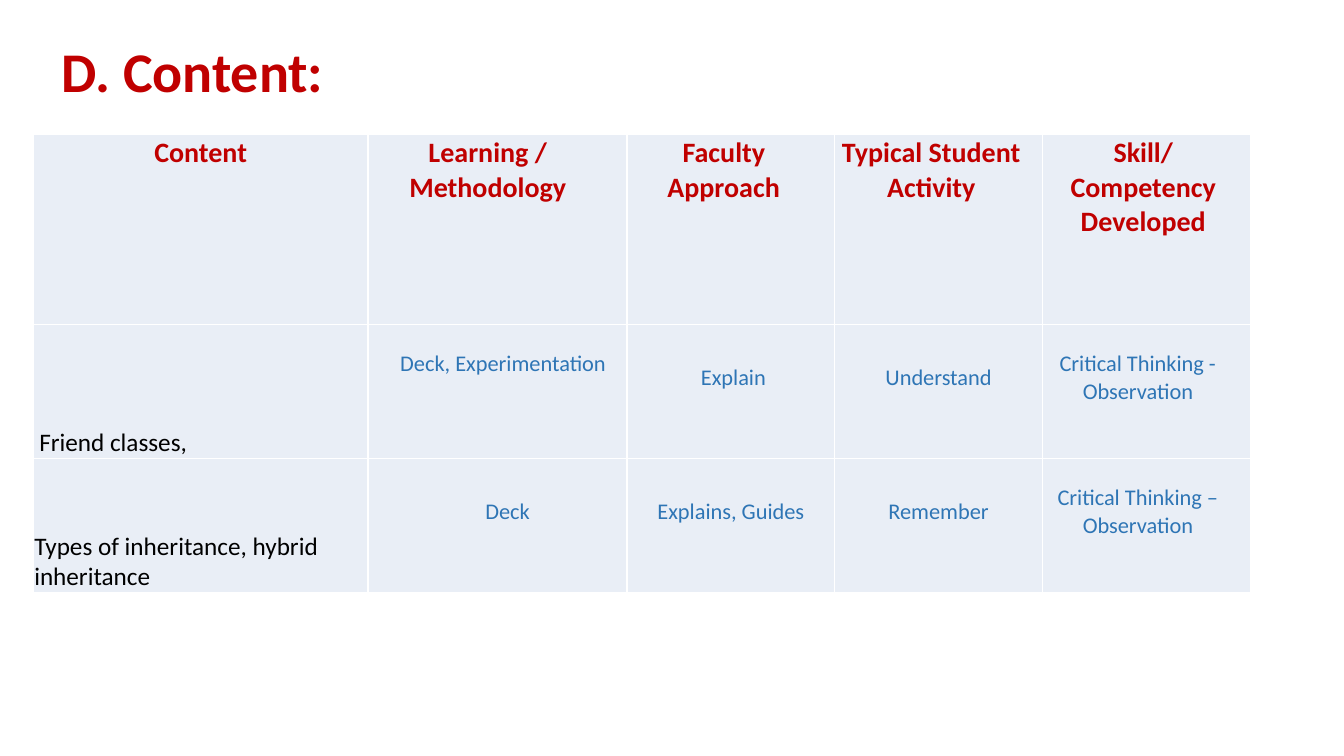
from dataclasses import dataclass

from lxml import etree
from pptx import Presentation
from pptx.dml.color import RGBColor
from pptx.enum.text import MSO_ANCHOR, PP_ALIGN
from pptx.oxml.ns import qn
from pptx.util import Inches, Pt

LEFT, CENTER = PP_ALIGN.LEFT, PP_ALIGN.CENTER
TOP, MIDDLE, BOTTOM = MSO_ANCHOR.TOP, MSO_ANCHOR.MIDDLE, MSO_ANCHOR.BOTTOM

RED = RGBColor(0xC0, 0x00, 0x00)
BLUE = RGBColor(0x2E, 0x75, 0xB5)
BLACK = RGBColor(0x00, 0x00, 0x00)
PALE = RGBColor(0xE9, 0xEE, 0xF6)
FONT = "Calibri"

COLUMN_WIDTHS = (3.32, 2.57, 2.06, 2.06, 2.06)
ROW_HEIGHTS = (1.89, 1.33, 1.33)
HIGH, LOW = 0.25, 0.39  # top margins of the body cells


@dataclass
class Entry:
    """Text of one cell; lengths are in inches."""
    text: str
    size: int = 16
    color: RGBColor = BLUE
    bold: bool = False
    align: int = CENTER
    anchor: int = TOP
    top: float = LOW
    left: float = 0
    right: float = 0
    first_line: float = 0
    spacing: float = 1.0


def heading(text, **layout):
    return Entry(text, 20, RED, True, top=0.02, **layout)


def topic(text, left):
    return Entry(text, 18, BLACK, align=LEFT, anchor=BOTTOM, top=0.01,
                 left=left, right=0.01)


def skill(text, first_line):
    return Entry(text, align=LEFT, top=HIGH, left=0.4,
                 first_line=first_line, spacing=1.02)


ROWS = (
    (
        heading("Content"),
        heading("Learning / Methodology", align=LEFT, left=0.41, first_line=0.19),
        heading("Faculty Approach", align=LEFT, left=0.4, first_line=0.15),
        heading("Typical Student Activity", align=LEFT, left=0.52, first_line=-0.45),
        heading("Skill/ Competency Developed", left=0.23, right=0.29),
    ),
    (
        topic("Friend classes,", 0.06),
        Entry("Deck, Experimentation", align=LEFT, top=HIGH, left=0.32),
        Entry("Explain", left=0.05),
        Entry("Understand"),
        skill("Critical Thinking - Observation", -0.23),
    ),
    (
        topic("Types of inheritance, hybrid inheritance", 0.01),
        Entry("Deck", left=0.2),
        Entry("Explains, Guides"),
        Entry("Remember"),
        skill("Critical Thinking – Observation", -0.25),
    ),
)


def format_text(para, size, color, bold):
    for span in para.runs:
        span.font.name = FONT
        span.font.size = Pt(size)
        span.font.bold = bold
        span.font.color.rgb = color


def set_indent(para, left, first_line):
    properties = para._p.get_or_add_pPr()
    properties.set("marL", str(Inches(left)))
    properties.set("indent", str(Inches(first_line)))


def add_white_borders(cell):
    properties = cell._tc.get_or_add_tcPr()
    for side in ("a:lnL", "a:lnR", "a:lnT", "a:lnB"):
        line = etree.SubElement(properties, qn(side), w=str(Pt(1)))
        fill = etree.SubElement(line, qn("a:solidFill"))
        etree.SubElement(fill, qn("a:srgbClr"), val="FFFFFF")


def fill_cell(cell, entry):
    add_white_borders(cell)
    cell.fill.solid()
    cell.fill.fore_color.rgb = PALE
    cell.margin_left = cell.margin_bottom = 0
    cell.margin_top = Inches(entry.top)
    cell.margin_right = Inches(entry.right)
    cell.vertical_anchor = entry.anchor
    cell.text_frame.text = entry.text
    para = cell.text_frame.paragraphs[0]
    para.alignment = entry.align
    para.line_spacing = entry.spacing
    set_indent(para, entry.left, entry.first_line)
    format_text(para, entry.size, entry.color, entry.bold)


def add_title(page, text):
    box = page.shapes.add_textbox(Inches(0.6), Inches(0.35), Inches(2.66), Inches(0.69))
    frame = box.text_frame
    frame.margin_left = frame.margin_right = frame.margin_bottom = 0
    frame.margin_top = Inches(0.01)
    frame.vertical_anchor = MIDDLE
    frame.word_wrap = True
    frame.text = text
    set_indent(frame.paragraphs[0], 0.01, 0)
    format_text(frame.paragraphs[0], 40, RED, True)


def add_content_table(page):
    table = page.shapes.add_table(
        len(ROWS), len(COLUMN_WIDTHS), Inches(0.33), Inches(1.33),
        Inches(sum(COLUMN_WIDTHS)), Inches(sum(ROW_HEIGHTS))).table
    for column, width in zip(table.columns, COLUMN_WIDTHS):
        column.width = Inches(width)
    for row, height, entries in zip(table.rows, ROW_HEIGHTS, ROWS):
        row.height = Inches(height)
        for cell, entry in zip(row.cells, entries):
            fill_cell(cell, entry)


def main():
    deck = Presentation()
    deck.slide_width = Inches(13.33)
    deck.slide_height = Inches(7.5)
    page = deck.slides.add_slide(deck.slide_layouts[6])
    add_title(page, "D. Content:")
    add_content_table(page)
    deck.save("out.pptx")


if __name__ == "__main__":
    main()
